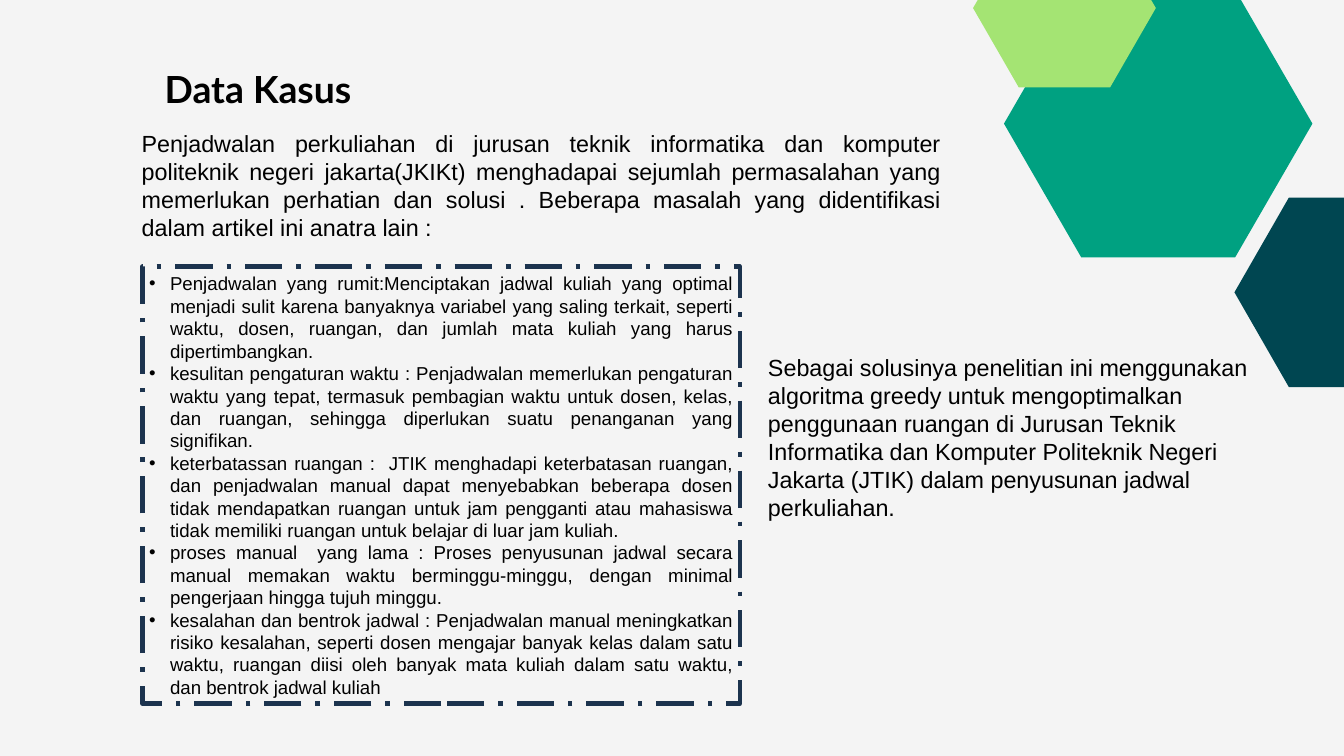
from typing import NamedTuple

from pptx import Presentation
from pptx.dml.color import RGBColor
from pptx.enum.dml import MSO_LINE as Dash
from pptx.enum.text import MSO_ANCHOR as Anchor, MSO_AUTO_SIZE as Fit, PP_ALIGN as Align
from pptx.util import Pt

PX = 9144  # EMU per px, 100 px to the inch

PAPER = RGBColor(0xF4, 0xF4, 0xF4)
BLACK = RGBColor(0x00, 0x00, 0x00)
NAVY = RGBColor(0x1C, 0x33, 0x4E)
TEAL = RGBColor(0x00, 0x46, 0x51)
GREEN = RGBColor(0x00, 0xA1, 0x81)
LIME = RGBColor(0xA4, 0xE4, 0x73)


class Box(NamedTuple):
    left: int
    top: int
    width: int
    height: int


class Hexagon(NamedTuple):
    box: Box
    color: RGBColor


class Style(NamedTuple):
    font: str
    size: int
    pitch: float
    align: Align = Align.LEFT
    bold: bool = False


class Note(NamedTuple):
    box: Box
    style: Style
    text: str


HEXAGONS = [
    Hexagon(Box(1837, 294, 326, 282), TEAL),
    Hexagon(Box(1494, -15, 459, 398), GREEN),
    Hexagon(Box(1448, -105, 272, 235), LIME),
]

TITLE_BOX = Box(245, 119, 764, 51)
TITLE_STYLE = Style("Lato", 40, 33.6, bold=True)

LIST_BOX = Box(212, 397, 889, 650)
LIST_STYLE = Style("Arial", 20, 24, Align.JUSTIFY)
INDENT = 31

NOTES = [
    Note(
        Box(201, 188, 1208, 158),
        Style("Arial", 25, 30, Align.JUSTIFY),
        "Penjadwalan perkuliahan di jurusan teknik informatika dan komputer "
        "politeknik negeri jakarta(JKIKt) menghadapai sejumlah permasalahan yang "
        "memerlukan perhatian dan solusi . Beberapa masalah yang didentifikasi "
        "dalam artikel ini anatra lain :",
    ),
    Note(
        Box(1133, 521, 751, 347),
        Style("Arial", 25, 30),
        "Sebagai solusinya penelitian ini menggunakan algoritma greedy untuk "
        "mengoptimalkan penggunaan ruangan di Jurusan Teknik Informatika dan "
        "Komputer Politeknik Negeri Jakarta (JTIK) dalam penyusunan jadwal "
        "perkuliahan.",
    ),
]

PROBLEMS = [
    "Penjadwalan yang rumit:Menciptakan jadwal kuliah yang optimal menjadi sulit "
    "karena banyaknya variabel yang saling terkait, seperti waktu, dosen, ruangan, "
    "dan jumlah mata kuliah yang harus dipertimbangkan.",
    "kesulitan pengaturan waktu : Penjadwalan memerlukan pengaturan waktu yang "
    "tepat, termasuk pembagian waktu untuk dosen, kelas, dan ruangan, sehingga "
    "diperlukan suatu penanganan yang signifikan.",
    "keterbatassan ruangan :  JTIK menghadapi keterbatasan ruangan, dan "
    "penjadwalan manual dapat menyebabkan beberapa dosen tidak mendapatkan ruangan "
    "untuk jam pengganti atau mahasiswa tidak memiliki ruangan untuk belajar di "
    "luar jam kuliah.",
    "proses manual  yang lama : Proses penyusunan jadwal secara manual memakan "
    "waktu berminggu-minggu, dengan minimal pengerjaan hingga tujuh minggu.",
    "kesalahan dan bentrok jadwal : Penjadwalan manual meningkatkan risiko "
    "kesalahan, seperti dosen mengajar banyak kelas dalam satu waktu, ruangan "
    "diisi oleh banyak mata kuliah dalam satu waktu, dan bentrok jadwal kuliah",
]


def place(shape, box: Box) -> None:
    shape.left, shape.top, shape.width, shape.height = (n * PX for n in box)


def write(frame, lines: list[str], style: Style) -> None:
    """Fill a text frame with one paragraph per line, all in one style."""
    frame.text = "\n".join(lines)
    frame.word_wrap = True
    frame.auto_size = Fit.NONE
    frame.vertical_anchor = Anchor.TOP
    for para in frame.paragraphs:
        para.alignment = style.align
        para.line_spacing = Pt(style.pitch)
        para.space_before = para.space_after = Pt(0)
        font = para.font
        font.name, font.size, font.bold = style.font, Pt(style.size), style.bold
        font.color.rgb = BLACK


def draw_hexagon(slide, item: Hexagon) -> None:
    """Draw a flat-topped hexagon whose corners sit a quarter width inside."""
    x, y, w, h = item.box
    near, far, mid = x + w / 4, x + w * 3 / 4, y + h / 2
    path = slide.shapes.build_freeform(x + w, mid, scale=PX)
    path.add_line_segments(
        [(far, y + h), (near, y + h), (x, mid), (near, y), (far, y)], close=True
    )
    shape = path.convert_to_shape()
    shape.shadow.inherit = False
    shape.fill.solid()
    shape.fill.fore_color.rgb = item.color
    shape.line.fill.background()


def draw_title(slide) -> None:
    title = slide.shapes.title
    place(title, TITLE_BOX)
    frame = title.text_frame
    write(frame, ["Data Kasus"], TITLE_STYLE)
    frame.margin_left = frame.margin_top = frame.margin_right = frame.margin_bottom = 0


def draw_list(slide) -> None:
    body = slide.placeholders[1]
    place(body, LIST_BOX)
    body.line.color.rgb = NAVY
    body.line.width = Pt(5)
    body.line.dash_style = Dash.LONG_DASH_DOT
    frame = body.text_frame
    write(frame, PROBLEMS, LIST_STYLE)
    frame.vertical_anchor = Anchor.MIDDLE
    for para in frame.paragraphs:
        props = para._p.get_or_add_pPr()
        props.set("marL", str(INDENT * PX))
        props.set("indent", str(-INDENT * PX))


def draw_note(slide, note: Note) -> None:
    shape = slide.shapes.add_textbox(*(n * PX for n in note.box))
    write(shape.text_frame, [note.text], note.style)


def main() -> None:
    deck = Presentation()
    deck.slide_width, deck.slide_height = 2000 * PX, 1125 * PX
    slide = deck.slides.add_slide(deck.slide_layouts[1])
    slide.background.fill.solid()
    slide.background.fill.fore_color.rgb = PAPER
    for item in HEXAGONS:
        draw_hexagon(slide, item)
    draw_title(slide)
    draw_list(slide)
    for note in NOTES:
        draw_note(slide, note)
    deck.save("out.pptx")


if __name__ == "__main__":
    main()
